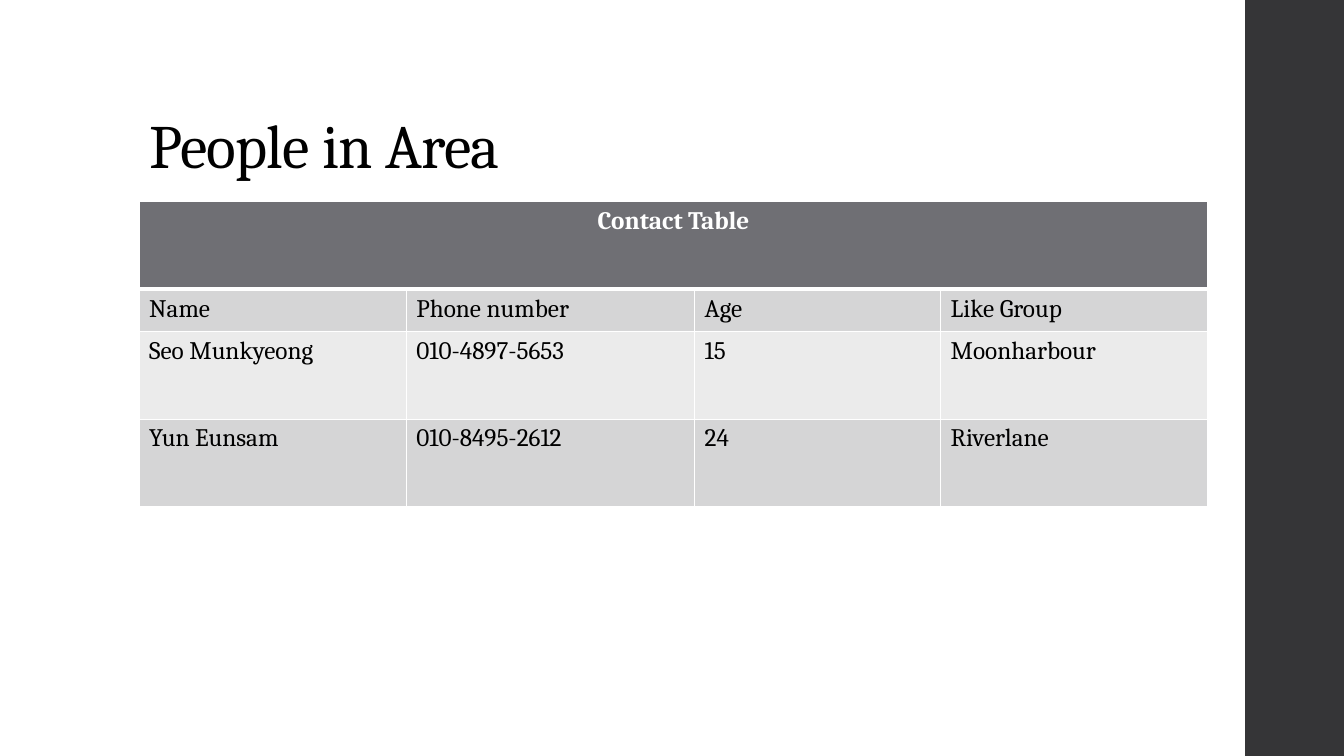
from dataclasses import dataclass

from lxml import etree
from pptx import Presentation
from pptx.dml.color import RGBColor
from pptx.enum.shapes import MSO_SHAPE
from pptx.enum.text import MSO_ANCHOR, MSO_AUTO_SIZE, PP_ALIGN
from pptx.oxml.ns import qn
from pptx.util import Inches, Pt

RECTANGLE = MSO_SHAPE.RECTANGLE
BOTTOM = MSO_ANCHOR.BOTTOM
NO_AUTOFIT = MSO_AUTO_SIZE.NONE
LEFT, CENTER = PP_ALIGN.LEFT, PP_ALIGN.CENTER
TITLE_ONLY = 5


@dataclass(frozen=True)
class Theme:
    """Colours, font and type sizes of the slide."""
    font: str = "Cambria"
    title_size: int = 44
    table_size: int = 18
    text: str = "000000"
    white: str = "FFFFFF"
    sidebar: str = "353537"
    header: str = "6F6F74"
    bands: tuple = ("D5D5D6", "EBEBEB")
    thin: int = 1
    thick: int = 3


THEME = Theme()
CAPTION = "Contact Table"
PEOPLE = [
    ["Name", "Phone number", "Age", "Like Group"],
    ["Seo Munkyeong", "010-4897-5653", "15", "Moonharbour"],
    ["Yun Eunsam", "010-8495-2612", "24", "Riverlane"],
]
PHONE_COLUMN = 1
COLUMN_WIDTHS = [2.65, 2.86, 2.44, 2.65]
ROW_HEIGHTS = [0.87, 0.42, 0.87, 0.87]


def write_text(paragraph, text, size, color, bold=False, alignment=LEFT):
    """Put one formatted run into a paragraph and return the run."""
    run = paragraph.add_run()
    run.text = text
    paragraph.alignment = alignment
    settings = {"name": THEME.font, "size": Pt(size), "bold": bold}
    for name, value in settings.items():
        setattr(run.font, name, value)
    run.font.color.rgb = RGBColor.from_string(color)
    return run


def add_sidebar(slide):
    """Draw the dark band at the right edge."""
    shape = slide.shapes.add_shape(
        RECTANGLE, Inches(12.35), 0, Inches(1), Inches(7.5))
    shape.shadow.inherit = False
    shape.fill.solid()
    shape.fill.fore_color.rgb = RGBColor.from_string(THEME.sidebar)
    shape.line.fill.background()


def add_title(slide, text):
    """Move the title placeholder and fill it."""
    title = slide.shapes.title
    position = {"left": 1.38, "top": 0.4, "width": 10.6, "height": 1.45}
    for name, value in position.items():
        setattr(title, name, Inches(value))
    frame = title.text_frame
    settings = {"vertical_anchor": BOTTOM, "word_wrap": True,
                "auto_size": NO_AUTOFIT}
    for name, value in settings.items():
        setattr(frame, name, value)
    paragraph = frame.paragraphs[0]
    paragraph.line_spacing = 0.9
    run = write_text(paragraph, text, THEME.title_size, THEME.text)
    run.font._element.set("spc", "-50")


def set_borders(cell, widths):
    """Draw white cell borders; a width of zero hides the side."""
    properties = cell._tc.get_or_add_tcPr()
    for side, width in widths.items():
        line = etree.SubElement(properties, qn(f"a:ln{side}"))
        if width:
            line.set("w", str(Pt(width)))
            fill = etree.SubElement(line, qn("a:solidFill"))
            etree.SubElement(fill, qn("a:srgbClr"), val=THEME.white)
        else:
            etree.SubElement(line, qn("a:noFill"))


def format_cell(cell, fill, top, bottom):
    """Set the borders and the fill of a cell."""
    set_borders(cell, {"L": THEME.thin, "R": THEME.thin,
                       "T": top, "B": bottom})
    cell.fill.solid()
    cell.fill.fore_color.rgb = RGBColor.from_string(fill)


def add_contact_table(slide):
    """Build the table with a merged caption row and banded rows."""
    table = slide.shapes.add_table(
        len(ROW_HEIGHTS), len(COLUMN_WIDTHS), Inches(1.38), Inches(2),
        Inches(sum(COLUMN_WIDTHS)), Inches(sum(ROW_HEIGHTS))).table
    for column, width in zip(table.columns, COLUMN_WIDTHS):
        column.width = Inches(width)
    for row, height in zip(table.rows, ROW_HEIGHTS):
        row.height = Inches(height)

    caption = table.cell(0, 0)
    caption.merge(table.cell(0, len(COLUMN_WIDTHS) - 1))
    format_cell(caption, THEME.header, THEME.thin, THEME.thick)
    write_text(caption.text_frame.paragraphs[0], CAPTION, THEME.table_size,
               THEME.white, bold=True, alignment=CENTER)

    for row_index, values in enumerate(PEOPLE):
        for column_index, value in enumerate(values):
            cell = table.cell(row_index + 1, column_index)
            top = THEME.thin
            if row_index == 0:
                top = 0 if column_index == PHONE_COLUMN else THEME.thick
            format_cell(cell, THEME.bands[row_index % 2], top, THEME.thin)
            write_text(cell.text_frame.paragraphs[0], value,
                       THEME.table_size, THEME.text)


def main():
    """Build and save the slide."""
    presentation = Presentation()
    presentation.slide_width = Inches(13.33)
    presentation.slide_height = Inches(7.5)
    slide = presentation.slides.add_slide(
        presentation.slide_layouts[TITLE_ONLY])
    add_sidebar(slide)
    add_title(slide, "People in Area")
    add_contact_table(slide)
    presentation.save("out.pptx")


if __name__ == "__main__":
    main()
